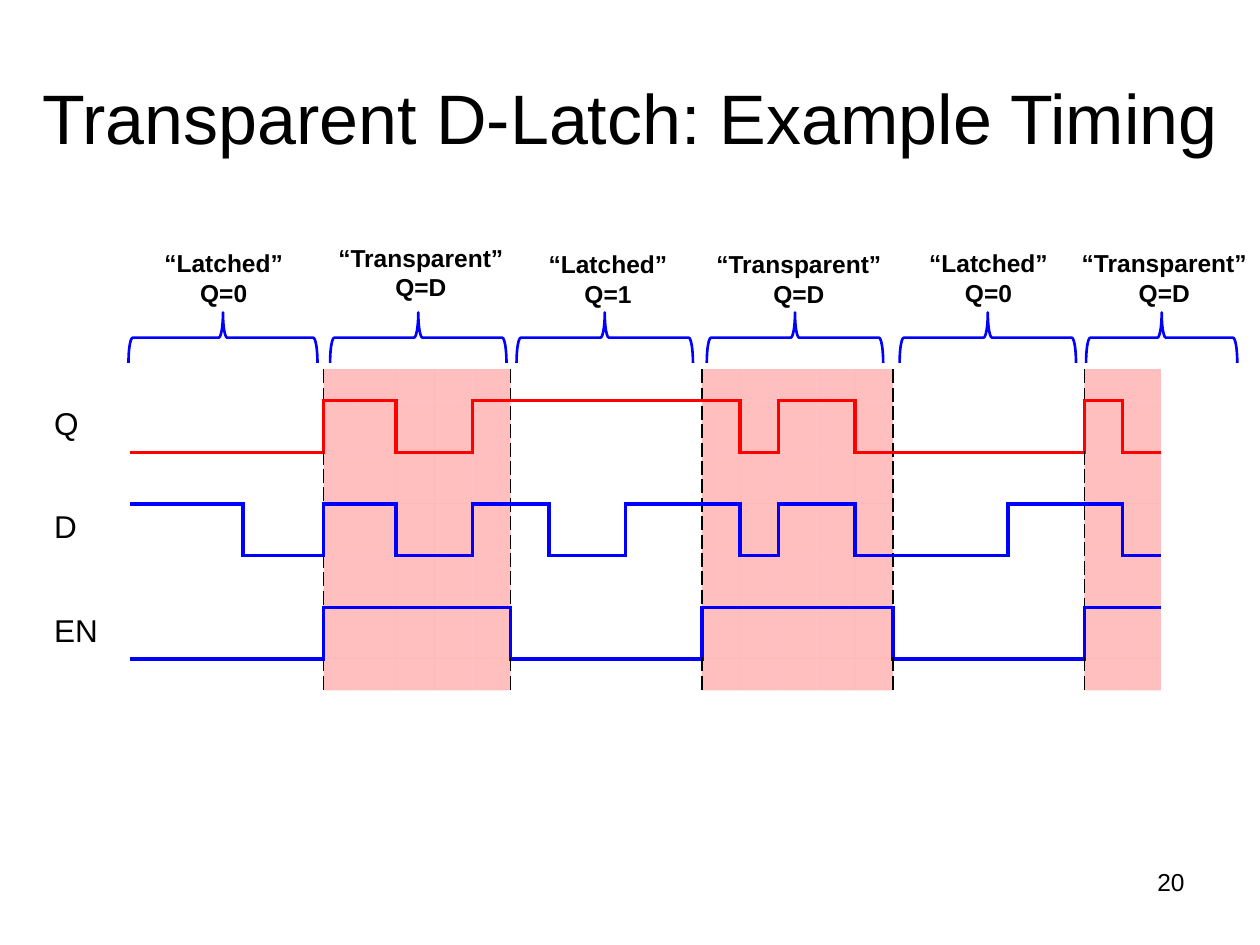
from lxml.etree import SubElement
from pptx import Presentation
from pptx.dml.color import RGBColor
from pptx.enum.shapes import MSO_SHAPE as Shape
from pptx.enum.text import MSO_ANCHOR as Anchor, PP_ALIGN as Align
from pptx.oxml.ns import qn
from pptx.util import Inches, Pt

rgb = RGBColor.from_string
RED, BLUE, BLACK, WHITE = "FF0000", "0000FF", "000000", "FFFFFF"

deck = Presentation()
deck.slide_width, deck.slide_height = Inches(10), Inches(7.5)
unit = deck.slide_width // 100  # the slide is 100 columns by 75 rows
slide = deck.slides.add_slide(deck.slide_layouts[6])


def grid(*sizes):
    """Turn columns and rows of the slide grid into lengths."""
    return [round(size * unit) for size in sizes]


def write(frame, text, size=18, bold=False, align=Align.LEFT,
          anchor=Anchor.TOP, wrap=True):
    frame.word_wrap = wrap
    frame.vertical_anchor = anchor
    frame.text = text
    for para in frame.paragraphs:
        para.alignment = align
        font = para.runs[0].font
        font.name, font.size, font.bold = "Arial", Pt(size), bold
        font.color.rgb = rgb(BLACK)


title = slide.shapes.add_textbox(*grid(0, 3, 100, 12.5))
write(title.text_frame, "Transparent D-Latch: Example Timing", size=40,
      align=Align.CENTER, anchor=Anchor.MIDDLE)
page = slide.shapes.add_textbox(*grid(71.7, 68.3, 23.3, 5.2))
write(page.text_frame, "20", size=14, align=Align.RIGHT)

# Levels of each signal, one digit per time step
enable = "000001111100000111110000011"
waves = [
    ("Q", RED, "000001100111111101100000010"),
    ("D", BLUE, "111001100110011101100001110"),
    ("EN", BLUE, enable),
]
first = [7, 3.3, 2.7, 3, 3.8, 2.6, 2.7]
steps = len(enable)
rest = steps + 1 - len(first)
wide = 88.9
cols = first + [(wide - sum(first)) / rest] * rest
rows = [2.5] + [4.1] * 5 + [2.5]

# Borders by (row, column, side): colour, width, dash
lines = {}
for col in range(1, steps):
    if enable[col - 1] != enable[col]:
        for row in range(len(rows)):
            lines[row, col, "R"] = lines[row, col + 1, "L"] = BLACK, 1, "dash"
for i, (name, color, wave) in enumerate(waves):
    row, solid = 2 * i + 1, (color, 2.25, "solid")
    for col, level in enumerate(wave, 1):
        low = row if level == "1" else row + 1
        lines[low - 1, col, "B"] = lines[low, col, "T"] = solid
        if col < steps and level != wave[col]:
            lines[row, col, "R"] = lines[row, col + 1, "L"] = solid

holder = slide.shapes.add_table(len(rows), len(cols),
                                *grid(3.3, 29.3, wide, sum(rows)))
table = holder.table
table.first_row = table.horz_banding = False
for part, size in zip(table.columns, grid(*cols)):
    part.width = size
for part, size in zip(table.rows, grid(*rows)):
    part.height = size

for row in range(len(rows)):
    for col in range(len(cols)):
        cell = table.cell(row, col)
        if col == 0 and row % 2:
            write(cell.text_frame, waves[row // 2][0])
        else:
            cell.margin_left = cell.margin_right = 0
            cell.margin_top = cell.margin_bottom = 0
            end = SubElement(cell.text_frame.paragraphs[0]._p,
                             qn("a:endParaRPr"))
            end.set("sz", "800")
        props = cell._tc.get_or_add_tcPr()
        for side in "LRTB":
            ln = SubElement(props, qn("a:ln" + side))
            if (row, col, side) not in lines:
                SubElement(ln, qn("a:noFill"))
                continue
            color, width, dash = lines[row, col, side]
            ln.set("w", str(Pt(width)))
            paint = SubElement(ln, qn("a:solidFill"))
            SubElement(paint, qn("a:srgbClr")).set("val", color)
            SubElement(ln, qn("a:prstDash")).set("val", dash)
        clear = col > 0 and enable[col - 1] == "1"
        cell.fill.solid()
        cell.fill.fore_color.rgb = rgb(RED if clear else WHITE)
        if clear:
            tint = props.find(qn("a:solidFill")).find(qn("a:srgbClr"))
            SubElement(tint, qn("a:alpha")).set("val", "25000")

# Phase, output, brace centre and span, label centre and top
phases = [
    ("Latched", "0", 17.7, 15, 17.75, 19.2),
    ("Transparent", "D", 33.2, 14, 33.4, 18.8),
    ("Latched", "1", 48, 14, 48.25, 19.3),
    ("Transparent", "D", 63.1, 14, 63.4, 19.3),
    ("Latched", "0", 78.4, 14, 78.45, 19.2),
    ("Transparent", "D", 92.2, 12, 92.4, 19.2),
]
deep, mid = 4, 26.8
for phase, out, x, span, center, top in phases:
    group = slide.shapes.add_group_shape().shapes
    brace = group.add_shape(Shape.RIGHT_BRACE, *grid(
        x - deep / 2, mid - span / 2, deep, span))
    brace.rotation = 270
    brace.shadow.inherit = False
    brace.fill.background()
    brace.line.color.rgb = rgb(BLUE)
    brace.line.width = Pt(1.5)
    wide = 11.5 if phase == "Latched" else 15.2
    label = group.add_textbox(*grid(center - wide / 2, top, wide, 5.7))
    write(label.text_frame, f"“{phase}”\nQ={out}", size=14, bold=True,
          align=Align.CENTER, wrap=False)

deck.save("out.pptx")
